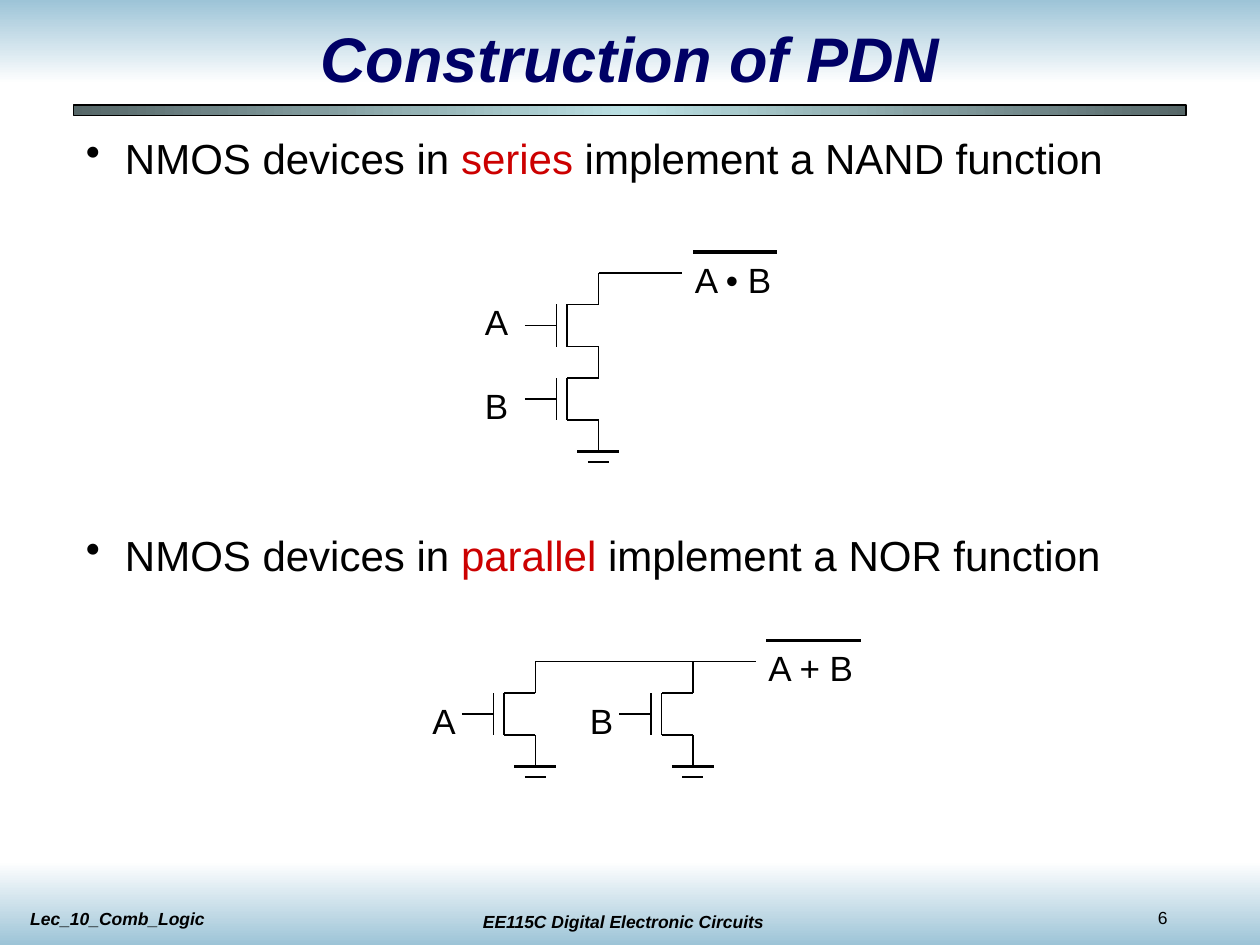
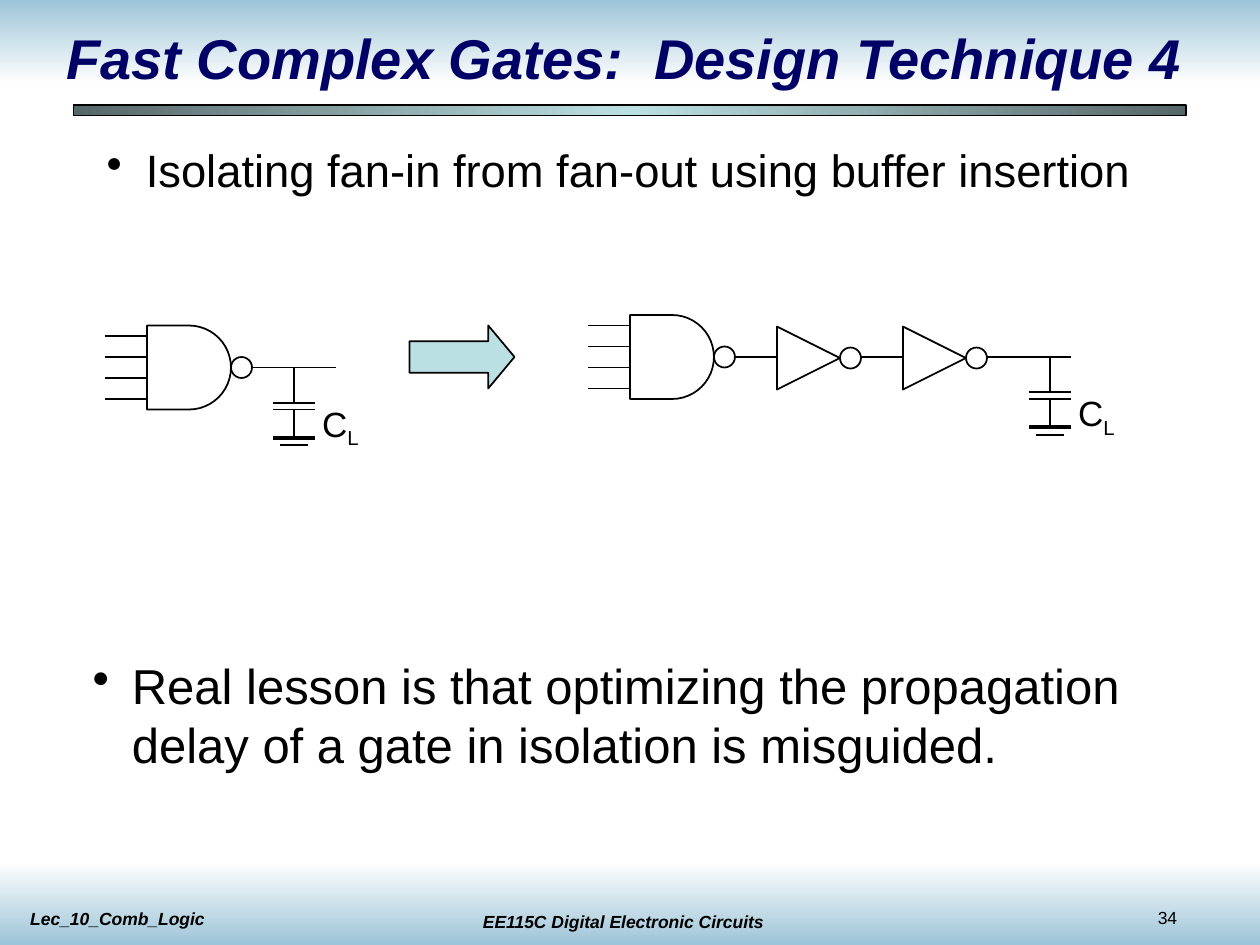
import copy

import pptx
import pptx.dml.color
import pptx.enum.shapes
import pptx.enum.text
import pptx.oxml
import pptx.oxml.ns
import pptx.util
from pptx.util import Cm

RGBColor = pptx.dml.color.RGBColor
Shapes = pptx.enum.shapes.MSO_SHAPE
Align = pptx.enum.text.PP_ALIGN
Anchor = pptx.enum.text.MSO_ANCHOR

BLACK = RGBColor(0x00, 0x00, 0x00)
WHITE = RGBColor(0xFF, 0xFF, 0xFF)
NAVY = RGBColor(0x00, 0x00, 0x66)
RED = RGBColor(0xCC, 0x00, 0x00)
BAND_BLUE = RGBColor(0x9D, 0xC4, 0xD7)
AQUA = RGBColor(0xBB, 0xE0, 0xE3)
SLATE = RGBColor(0x56, 0x67, 0x68)

FONT = "Arial"
SLIDE_WIDTH, SLIDE_HEIGHT = Cm(25.4), Cm(19.05)
GRID_STEPS = 120  # circuit grid steps across the slide
THIN, THICK = 1, 2.25


def grid(steps):
    return Cm(25.4 * steps / GRID_STEPS)


class LectureDeck:
    def __init__(self):
        self.presentation = pptx.Presentation()
        self.presentation.slide_width = SLIDE_WIDTH
        self.presentation.slide_height = SLIDE_HEIGHT
        self.slide = None

    def new_slide(self, number):
        layout = self.presentation.slide_layouts[6]
        self.slide = self.presentation.slides.add_slide(layout)
        band_height = Cm(1.69)
        self.gradient_bar(0, 0, SLIDE_WIDTH, band_height, [BAND_BLUE, WHITE], 270)
        self.gradient_bar(0, SLIDE_HEIGHT - band_height, SLIDE_WIDTH, band_height,
                          [WHITE, BAND_BLUE], 270)
        self.footer("EE115C Digital Electronic Circuits", Cm(8.97), Cm(18.24),
                    Cm(7.19), bold=True, align=Align.CENTER)
        self.footer(str(number), Cm(23.09), Cm(18.16), Cm(2.11))
        self.footer("Lec_10_Comb_Logic", Cm(0.36), Cm(18.18), Cm(7.19), bold=True)
        rule = self.gradient_bar(Cm(1.48), Cm(2.12), Cm(22.43), Cm(0.21),
                                 [SLATE, AQUA, SLATE], 0)
        self.outline(rule, 0.75)

    def outline(self, shape, weight):
        shape.line.color.rgb = BLACK
        shape.line.width = pptx.util.Pt(weight)

    def gradient_bar(self, left, top, width, height, colors, angle):
        """Add a rectangle shaded through evenly spaced colours."""
        bar = self.slide.shapes.add_shape(Shapes.RECTANGLE, left, top, width, height)
        bar.shadow.inherit = False
        bar.line.fill.background()
        bar.fill.gradient()
        bar.fill.gradient_angle = angle
        stop_list = next(bar._element.iter(pptx.oxml.ns.qn("a:gsLst")))
        while len(stop_list) < len(colors):
            stop_list.append(copy.deepcopy(stop_list[-1]))
        for index, color in enumerate(colors):
            stop = bar.fill.gradient_stops[index]
            stop.color.rgb = color
            stop.position = index / (len(colors) - 1)
        return bar

    def text_frame(self, left, top, width, height, wrap=True):
        frame = self.slide.shapes.add_textbox(left, top, width, height).text_frame
        frame.word_wrap = wrap
        return frame

    def run(self, paragraph, text, size, color=BLACK, bold_italic=False):
        run = paragraph.add_run()
        run.text = text
        run.font.name = FONT
        run.font.size = pptx.util.Pt(size)
        run.font.color.rgb = color
        run.font.bold = run.font.italic = bold_italic
        return run

    def footer(self, text, left, top, width, bold=False, align=Align.LEFT):
        paragraph = self.text_frame(left, top, width, Cm(0.69)).paragraphs[0]
        paragraph.alignment = align
        self.run(paragraph, text, 10, bold_italic=bold)

    def title(self, text, size, left, width):
        frame = self.text_frame(left, Cm(0.42), width, Cm(1.48))
        frame.vertical_anchor = Anchor.MIDDLE
        frame.paragraphs[0].alignment = Align.CENTER
        self.run(frame.paragraphs[0], text, size, NAVY, bold_italic=True)

    def bullets(self, box, items, size, gap=0):
        """Add bulleted items, each a list of (text, colour) runs, gap points apart."""
        frame = self.text_frame(*box)
        for index, item in enumerate(items):
            paragraph = frame.add_paragraph() if index else frame.paragraphs[0]
            properties = paragraph._p.get_or_add_pPr()
            properties.set("marL", str(Cm(0.79)))
            properties.set("indent", str(-Cm(0.79)))
            bullet = pptx.oxml.parse_xml(
                f'<a:buChar {pptx.oxml.ns.nsdecls("a")} char="•"/>')
            properties.append(bullet)
            if index:
                paragraph.space_before = pptx.util.Pt(gap)
            for text, color in item:
                self.run(paragraph, text, size, color)
        return frame

    # Circuit elements: positions are in grid steps.

    def label(self, text, x, y, width, subscript=""):
        frame = self.text_frame(grid(x), grid(y), grid(width), Cm(1.12), wrap=False)
        self.run(frame.paragraphs[0], text, 20)
        if subscript:
            run = self.run(frame.paragraphs[0], subscript, 20)
            run._r.get_or_add_rPr().set("baseline", "-25000")

    def wire(self, *points, weight=THIN):
        """Join the points with straight lines."""
        for start, end in zip(points, points[1:]):
            line = self.slide.shapes.add_connector(
                pptx.enum.shapes.MSO_CONNECTOR.STRAIGHT,
                *(grid(value) for value in start + end))
            self.outline(line, weight)
            line._element.spPr.append(pptx.oxml.parse_xml(
                f'<a:effectLst {pptx.oxml.ns.nsdecls("a")}/>'))

    def symbol(self, kind, x, y, width, height, fill=None):
        shape = self.slide.shapes.add_shape(
            kind, grid(x), grid(y), grid(width), grid(height))
        shape.shadow.inherit = False
        if fill is None:
            shape.fill.background()
        else:
            shape.fill.solid()
            shape.fill.fore_color.rgb = fill
        self.outline(shape, THIN)
        return shape

    def ground(self, x, y, gap=1, foot=1):
        self.wire((x - 2, y), (x + 2, y), weight=THICK)
        self.wire((x - foot, y + gap), (x + foot, y + gap))

    def transistor(self, x, y):
        """Draw an NMOS device with its drain at (x, y) and source at (x, y + 7)."""
        self.wire((x, y), (x - 3, y), (x - 3, y + 4), (x, y + 4), (x, y + 7))
        self.wire((x - 4, y), (x - 4, y + 4))
        self.wire((x - 7, y + 2), (x - 4, y + 2))

    def bubble(self, x, y):
        self.symbol(Shapes.OVAL, x, y, 2, 2)

    def nand_gate(self, x, y):
        self.symbol(Shapes.FLOWCHART_DELAY, x, y, 8, 8)
        self.bubble(x + 8, y + 3)
        for offset in range(1, 8, 2):
            self.wire((x - 4, y + offset), (x, y + offset))

    def inverter(self, x, y):
        self.symbol(Shapes.FLOWCHART_MERGE, x, y, 6, 6).rotation = 270
        self.bubble(x + 6, y + 2)

    def load_capacitor(self, x, y):
        """Hang a grounded load capacitor from the wire at (x, y)."""
        upper, lower, base = y + 3.35, y + 4, y + 6.7
        self.wire((x, y), (x, upper))
        for plate in (upper, lower):
            self.wire((x - 2, plate), (x + 2, plate))
        self.wire((x, lower), (x, base))
        self.ground(x, base, gap=0.7, foot=1.35)
        self.label("C", x + 1.5, y + 2.7, 5.9, subscript="L")


def build_pull_down_network(deck):
    deck.new_slide(6)
    deck.title("Construction of PDN", 36, Cm(1.9), Cm(21.6))
    items = [[("NMOS devices in ", BLACK), (wiring, RED),
              (f" implement a {function} function", BLACK)]
             for wiring, function in (("series", "NAND"), ("parallel", "NOR"))]
    deck.bullets((Cm(1.48), Cm(2.54), Cm(22.23), Cm(10.59)), items, 24, gap=198)

    for name, device_y, label_y in (("A", 29, 28), ("B", 36, 36)):
        deck.transistor(57, device_y)
        deck.label(name, 45, label_y, 4.5)
    deck.wire((57, 29), (57, 26), (65, 26))
    deck.ground(57, 43)
    deck.label("A • B", 65, 24, 9.9)
    deck.wire((66, 24), (74, 24), weight=THICK)

    for name, x in (("A", 51), ("B", 66)):
        deck.transistor(x, 66)
        deck.ground(x, 73)
        deck.wire((x, 63), (x, 66))
        deck.label(name, x - 11, 66, 4.5)
    deck.wire((51, 63), (72, 63))
    deck.label("A + B", 72, 61, 10.7)
    deck.wire((73, 61), (82, 61), weight=THICK)


def build_buffer_insertion(deck):
    deck.new_slide(34)
    deck.title("Fast Complex Gates:  Design Technique 4", 32, Cm(0.42), Cm(24.34))
    deck.bullets((Cm(1.9), Cm(2.75), Cm(21.6), Cm(2.36)),
                 [[("Isolating fan-in from fan-out using buffer insertion", BLACK)]],
                 25.9)

    deck.nand_gate(14, 31)
    deck.wire((24, 35), (32, 35))
    deck.load_capacitor(28, 35)

    deck.symbol(Shapes.RIGHT_ARROW, 39, 31, 10, 6, AQUA).adjustments[1] = 0.417

    deck.nand_gate(60, 30)
    for x in (74, 86):
        deck.wire((x - 4, 34), (x, 34))
        deck.inverter(x, 31.1)
    deck.wire((94, 34), (102, 34))
    deck.load_capacitor(100, 34)

    lesson = deck.bullets(
        (Cm(1.69), Cm(13.13), Cm(22.66), Cm(2.51)),
        [[("Real lesson is that optimizing the propagation delay of a gate "
           "in isolation is misguided.", BLACK)]], 28)
    lesson.margin_left = lesson.margin_right = Cm(0.18)
    lesson.margin_top = lesson.margin_bottom = Cm(0.08)


def main():
    deck = LectureDeck()
    build_pull_down_network(deck)
    build_buffer_insertion(deck)
    deck.presentation.save("out.pptx")


if __name__ == "__main__":
    main()
